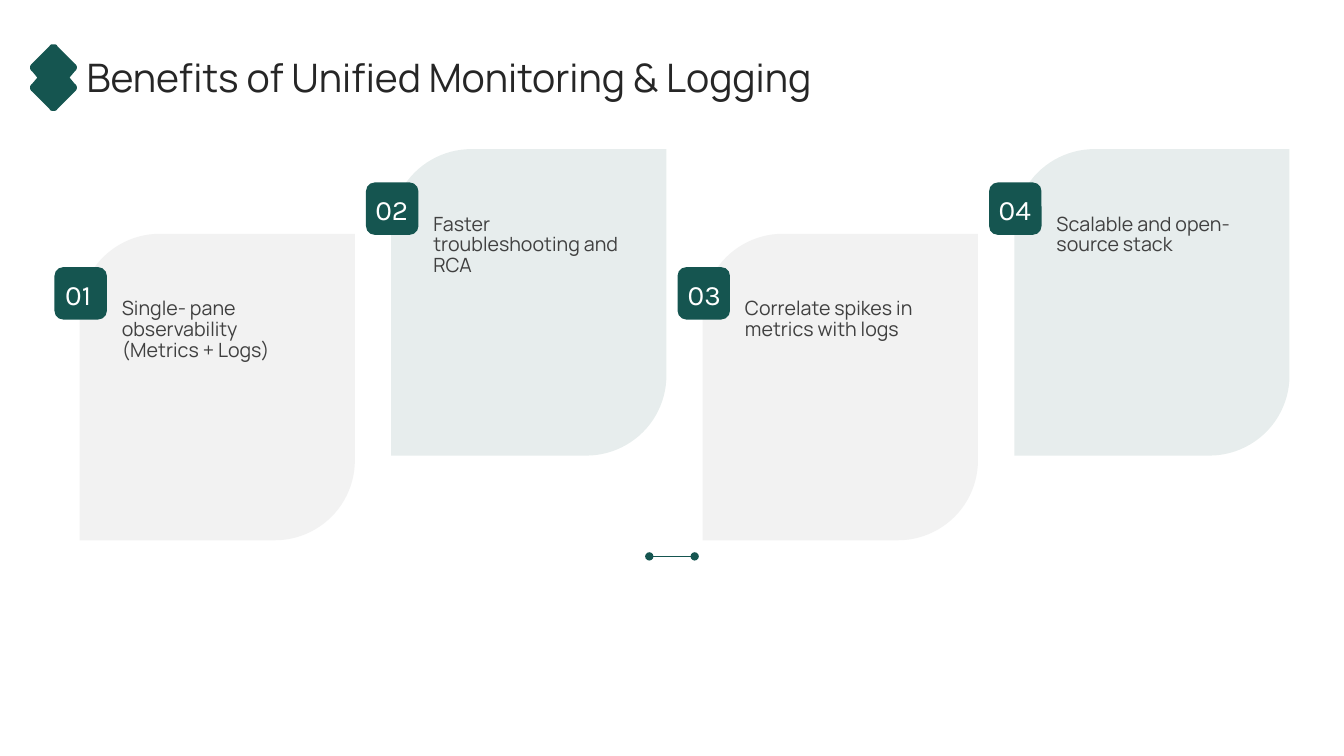
from lxml.etree import SubElement
from pptx import Presentation
from pptx.dml.color import RGBColor
from pptx.enum.shapes import MSO_CONNECTOR, MSO_SHAPE
from pptx.enum.text import MSO_ANCHOR, PP_ALIGN
from pptx.oxml.ns import qn
from pptx.util import Pt

SCALE = 9144
COLORS = {
    "teal": "155550",
    "gray": "BFBFBF",
    "title": "262626",
    "body": "404040",
    "white": "FFFFFF",
}
CARD_LEFT, CARD_PITCH = 79, 309
CARDS = [
    ("01", "Single- pane observability (Metrics + Logs)", 43),
    ("02", "Faster troubleshooting and RCA", 354),
    ("03", "Correlate spikes in metrics with logs", 664),
    ("04", "Scalable and open- source stack", 972),
]
CARD_LOOKS = [(232, "gray", 20), (148, "teal", 10)]


def px(n):
    return round(n * SCALE)


def curve(start, c1, c2, end, steps=8):
    for i in range(steps + 1):
        t = i / steps
        u = 1 - t
        yield tuple(
            u**3 * a + 3 * u * u * t * b + 3 * u * t * t * c + t**3 * d
            for a, b, c, d in zip(start, c1, c2, end)
        )


def emblem_outline(center_x=53, center_y=77):
    quarter = [
        *curve((53, 44), (55, 44), (56, 44), (57, 46)),
        *curve((74, 63), (77, 65), (77, 69), (74, 71)),
        (69, 77),
    ]
    right = quarter + [(x, 2 * center_y - y) for x, y in quarter[-2::-1]]
    return right + [(2 * center_x - x, y) for x, y in right[-2:0:-1]]


class SlideBuilder:
    def __init__(self, slide):
        self.s = slide

    def color(self, name):
        return RGBColor.from_string(COLORS[name])

    def paint(self, sp, color, alpha=100):
        sp.shadow.inherit = False
        sp.line.fill.background()
        sp.fill.solid()
        sp.fill.fore_color.rgb = self.color(color)
        if alpha < 100:
            clr = sp.fill._xPr.find(qn("a:solidFill"))[0]
            SubElement(clr, qn("a:alpha")).set("val", str(alpha * 1000))

    def shape(self, kind, x, y, w, h, color, alpha=100, adjust=()):
        sp = self.s.shapes.add_shape(kind, px(x), px(y), px(w), px(h))
        for i, value in enumerate(adjust):
            sp.adjustments[i] = value
        self.paint(sp, color, alpha)

    def outline(self, points, color):
        points = [(px(x), px(y)) for x, y in points]
        fb = self.s.shapes.build_freeform(*points[0])
        fb.add_line_segments(points[1:], close=True)
        self.paint(fb.convert_to_shape(), color)

    def text(self, x, y, w, h, text, size, font, color,
             align=PP_ALIGN.LEFT, anchor=MSO_ANCHOR.TOP, inset=True, spacing=None):
        tf = self.s.shapes.add_textbox(px(x), px(y), px(w), px(h)).text_frame
        tf.word_wrap = True
        tf.vertical_anchor = anchor
        if not inset:
            tf.margin_left = tf.margin_right = tf.margin_top = tf.margin_bottom = 0
        tf.text = text
        p = tf.paragraphs[0]
        p.alignment = align
        p.line_spacing = spacing
        r = p.runs[0]
        r.font.size = Pt(size)
        r.font.name = font
        r.font.color.rgb = self.color(color)

    def dotted_end_line(self, x1, y1, x2, y2, color):
        cx = self.s.shapes.add_connector(
            MSO_CONNECTOR.STRAIGHT, px(x1), px(y1), px(x2), px(y2))
        cx.line.color.rgb = self.color(color)
        cx.line.width = Pt(1)
        for end in ("a:headEnd", "a:tailEnd"):
            SubElement(cx.line._get_or_add_ln(), qn(end)).set("type", "oval")
        SubElement(cx._element.spPr, qn("a:effectLst"))

    def card(self, x, top, color, alpha, body):
        self.shape(MSO_SHAPE.ROUND_2_DIAG_RECTANGLE, x, top, 273, 304,
                   color, alpha, (0.291, 0))
        self.text(x + 32, top + 60, 209, 234, body, 14, "Manrope", "body",
                  spacing=0.88)
        self.shape(MSO_SHAPE.ROUNDED_RECTANGLE, x - 25, top + 33, 52, 52, "teal")

    def number(self, x, top, number):
        self.text(x, top + 40, 69, 40, number, 20, "Karla", "white",
                  PP_ALIGN.CENTER, MSO_ANCHOR.MIDDLE)


def main():
    prs = Presentation()
    prs.slide_width, prs.slide_height = px(1333), px(750)
    b = SlideBuilder(prs.slides.add_slide(prs.slide_layouts[6]))
    b.dotted_end_line(644, 552, 689, 552, "teal")
    for i, (number, body, number_x) in enumerate(CARDS):
        top, color, alpha = CARD_LOOKS[i % 2]
        b.card(CARD_LEFT + i * CARD_PITCH, top, color, alpha, body)
        b.number(number_x, top, number)
    b.text(86, 51, 1167, 51, "Benefits of Unified Monitoring & Logging", 28,
           "Manrope", "title", anchor=MSO_ANCHOR.MIDDLE, inset=False)
    b.outline(emblem_outline(), "teal")
    prs.save("out.pptx")


if __name__ == "__main__":
    main()
